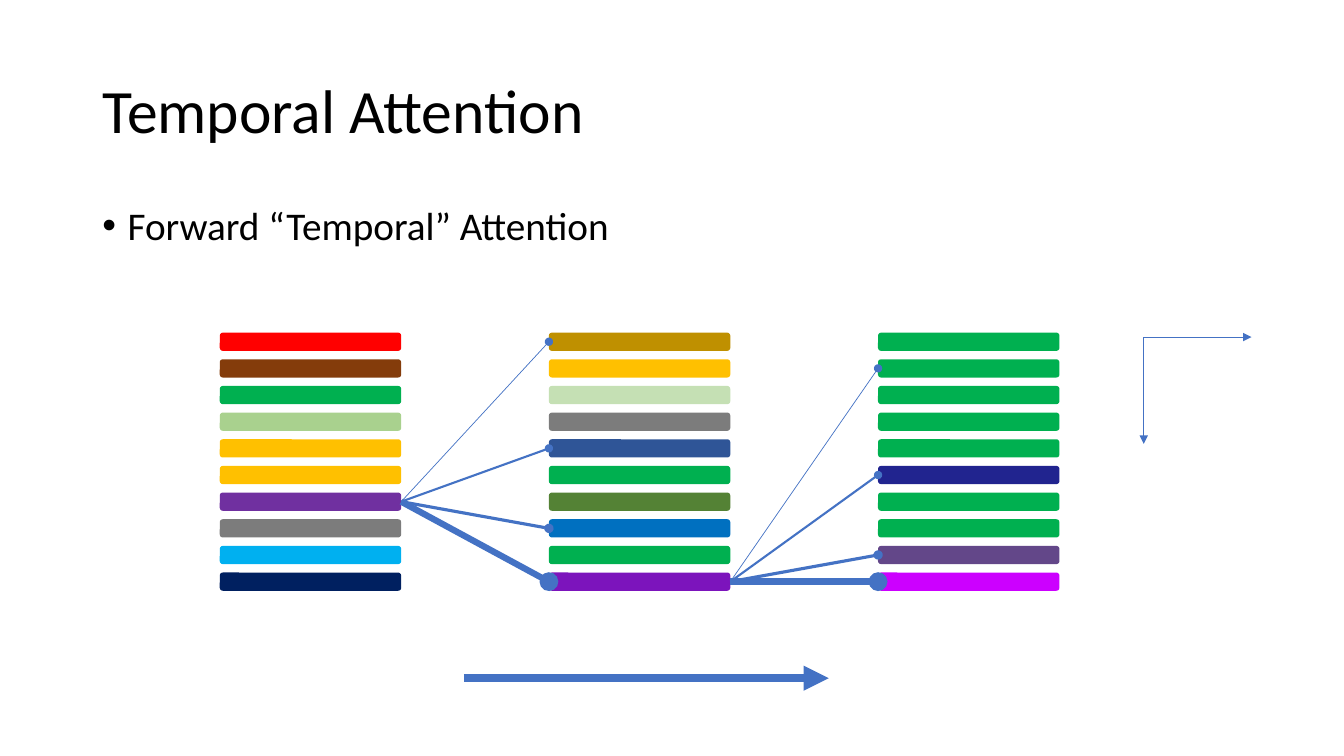
from pptx import Presentation
from pptx.dml.color import RGBColor
from pptx.enum.shapes import MSO_CONNECTOR, MSO_SHAPE
from pptx.enum.text import MSO_ANCHOR, MSO_AUTO_SIZE, PP_ALIGN
from pptx.oxml.ns import qn
from pptx.util import Pt
from lxml import etree

STRAIGHT = MSO_CONNECTOR.STRAIGHT
ROUNDED = MSO_SHAPE.ROUNDED_RECTANGLE
MIDDLE = MSO_ANCHOR.MIDDLE
LEFT = PP_ALIGN.LEFT
NO_AUTOFIT = MSO_AUTO_SIZE.NONE

BLUE = "4472C4"
GREEN = "00B050"
GOLD = "FFC000"
GRAY = "7C7C7C"

# Bar grid, in points
COLUMN_LEFT, COLUMN_PITCH = 157, 235.1
ROW_TOP, ROW_PITCH = 237.6, 19.04
BAR_WIDTH, BAR_HEIGHT = 129.6, 13


def color(hex_string):
    return RGBColor.from_string(hex_string)


def add_line(start, end, width, end_type):
    points = [Pt(value) for value in (*start, *end)]
    connector = slide.shapes.add_connector(STRAIGHT, *points)
    connector.line.color.rgb = color(BLUE)
    connector.line.width = Pt(width)
    line_element = connector.line._get_or_add_ln()
    etree.SubElement(line_element, qn("a:tailEnd"), type=end_type)
    etree.SubElement(connector._element.spPr, qn("a:effectLst"))


presentation = Presentation()
presentation.slide_width = Pt(960)
presentation.slide_height = Pt(540)
slide = presentation.slides.add_slide(presentation.slide_layouts[1])

# Title and bullet
title = slide.shapes.title
body = slide.placeholders[1]
for shape, text, top, height, size in (
    (title, "Temporal Attention", 28.75, 104.4, 44),
    (body, "Forward “Temporal” Attention", 143.75, 342.6, 28),
):
    shape.left, shape.top = Pt(66), Pt(top)
    shape.width, shape.height = Pt(828), Pt(height)
    shape.text_frame.text = text
    shape.text_frame.auto_size = NO_AUTOFIT
    paragraph = shape.text_frame.paragraphs[0]
    paragraph.alignment = LEFT
    paragraph.line_spacing = 0.9
    paragraph.space_before = Pt(0)
    paragraph.font.name = "Calibri"
    paragraph.font.size = Pt(size)
    paragraph.font.color.rgb = color("000000")
title.text_frame.vertical_anchor = MIDDLE
bullet_properties = body.text_frame.paragraphs[0]._p.get_or_add_pPr()
bullet_properties.set("marL", str(Pt(18)))
bullet_properties.set("indent", str(Pt(-18)))

# Three columns of bars, each from top to bottom
columns = [
    ["FF0000", "843C0B", GREEN, "A9D18E", GOLD, GOLD, "7030A0", GRAY, "00B0F0", "002060"],
    ["BF9000", GOLD, "C5E0B4", GRAY, "2F5597", GREEN, "548235", "0070C0", GREEN, "7C14BC"],
    [GREEN, GREEN, GREEN, GREEN, GREEN, "21248F", GREEN, GREEN, "634789", "CC00FF"],
]
for column, fills in enumerate(columns):
    for row, fill in enumerate(fills):
        bar = slide.shapes.add_shape(
            ROUNDED,
            Pt(COLUMN_LEFT + column * COLUMN_PITCH),
            Pt(ROW_TOP + row * ROW_PITCH),
            Pt(BAR_WIDTH),
            Pt(BAR_HEIGHT),
        )
        bar.shadow.inherit = False
        bar.fill.solid()
        bar.fill.fore_color.rgb = color(fill)
        bar.line.fill.background()

# Attention links: source column, source row, target rows from weak to strong
link_widths = (0.5, 1.5, 2.25, 4.5)
for column, source_row, target_rows in ((0, 6, (0, 4, 7, 9)), (1, 9, (1, 5, 8, 9))):
    source_x = COLUMN_LEFT + column * COLUMN_PITCH + BAR_WIDTH
    target_x = COLUMN_LEFT + (column + 1) * COLUMN_PITCH
    source_y = ROW_TOP + source_row * ROW_PITCH + BAR_HEIGHT / 2
    for target_row, width in zip(target_rows, link_widths):
        target_y = ROW_TOP + target_row * ROW_PITCH + BAR_HEIGHT / 2
        add_line((source_x, source_y), (target_x, target_y), width, "oval")

# Direction arrow and axes
add_line((331.4, 484.4), (592, 484.4), 6, "triangle")
axis_origin = (817, 240.8)
add_line(axis_origin, (817, 317), 0.5, "triangle")
add_line(axis_origin, (894, 240.8), 0.5, "triangle")

presentation.save("out.pptx")
